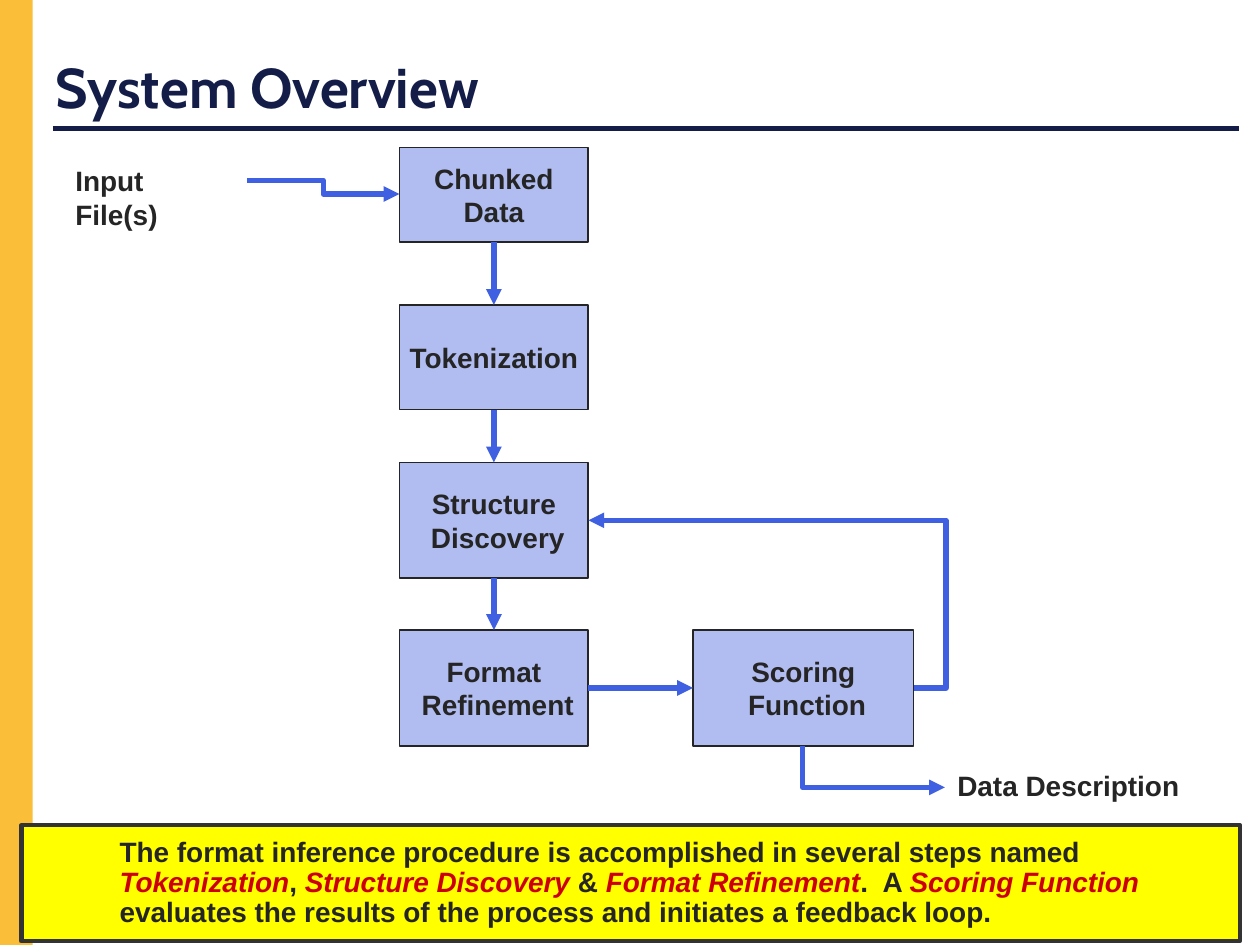
from dataclasses import dataclass

from lxml.etree import SubElement
from pptx import Presentation
from pptx.dml.color import RGBColor
from pptx.enum.shapes import MSO_CONNECTOR as CONN, MSO_SHAPE as SHAPE
from pptx.enum.text import MSO_ANCHOR as ANCHOR, PP_ALIGN as ALIGN
from pptx.oxml.ns import qn
from pptx.util import Inches, Pt


@dataclass(frozen=True)
class Theme:
    navy: str = "131D48"
    gold: str = "FABE38"
    box: str = "B1BDF0"
    ink: str = "252525"
    arrow: str = "3F60E0"
    banner: str = "FFFF00"
    frame: str = "333333"
    accent: str = "CC0000"
    title_font: str = "Cabin"
    body_font: str = "Arial"
    title_size: int = 32
    body_size: int = 16


def rgb(value):
    return RGBColor.from_string(value)


class Deck:
    def __init__(self, theme):
        self.theme = theme
        self.prs = Presentation()
        self.prs.slide_width, self.prs.slide_height = Inches(10), Inches(7.5)
        self.slide = self.prs.slides.add_slide(self.prs.slide_layouts[5])

    def style(self, p, font=None, size=None, color=None):
        t = self.theme
        p.font.name = font or t.body_font
        p.font.size = Pt(size or t.body_size)
        p.font.color.rgb = rgb(color or t.ink)
        p.font.bold = True

    def title(self, text, at):
        t = self.theme
        sp = self.slide.shapes.title
        sp.left, sp.top, sp.width, sp.height = map(Inches, at)
        tf = sp.text_frame
        tf.text = text
        tf.vertical_anchor = ANCHOR.MIDDLE
        p = tf.paragraphs[0]
        p.alignment = ALIGN.LEFT
        self.style(p, t.title_font, t.title_size, t.navy)

    def rect(self, at, fill, line=None, width=1):
        sp = self.slide.shapes.add_shape(SHAPE.RECTANGLE, *map(Inches, at))
        sp.shadow.inherit = False
        sp.fill.solid()
        sp.fill.fore_color.rgb = rgb(fill)
        if line:
            sp.line.color.rgb = rgb(line)
            sp.line.width = Pt(width)
        else:
            sp.line.fill.background()
        return sp

    def box(self, at, *lines):
        sp = self.rect(at, self.theme.box, self.theme.ink)
        tf = sp.text_frame
        tf.word_wrap = False
        tf.vertical_anchor = ANCHOR.MIDDLE
        for i, text in enumerate(lines):
            p = tf.paragraphs[0] if i == 0 else tf.add_paragraph()
            p.text = text
            p.alignment = ALIGN.CENTER
            self.style(p)
        return sp

    def label(self, text, at):
        tf = self.slide.shapes.add_textbox(*map(Inches, at)).text_frame
        tf.word_wrap = False
        tf.text = text
        self.style(tf.paragraphs[0])

    def banner(self, at, parts):
        t = self.theme
        tf = self.rect(at, t.banner, t.frame, 2.5).text_frame
        tf.word_wrap = True
        tf.vertical_anchor = ANCHOR.BOTTOM
        tf.margin_left = tf.margin_right = Inches(0.3)
        tf.margin_top = tf.margin_bottom = Inches(0.1)
        p = tf.paragraphs[0]
        p.alignment = ALIGN.LEFT
        p.line_spacing = 0.9
        p.space_before = Pt(4)
        p._p.get_or_add_pPr().set("marL", str(Inches(0.48)))
        self.style(p)
        for text, is_step in parts:
            r = p.add_run()
            r.text = text
            r.font.color.rgb = rgb(t.accent if is_step else t.ink)
            r.font.italic = is_step

    def line(self, start, end, color=None, arrow=None, bend=None, adj=None):
        kind = CONN.ELBOW if bend else CONN.STRAIGHT
        cx = self.slide.shapes.add_connector(kind, *map(Inches, start + end))
        cx.line.color.rgb = rgb(color or self.theme.arrow)
        cx.line.width = Pt(3)
        spPr = cx._element.spPr
        if arrow:
            SubElement(cx.line._get_or_add_ln(), qn(f"a:{arrow}End"), type="triangle")
        SubElement(spPr, qn("a:effectLst"))
        if bend:
            geom = spPr.find(qn("a:prstGeom"))
            geom.set("prst", bend)
            if adj is not None:
                guides = geom.find(qn("a:avLst"))
                if guides is None:
                    guides = SubElement(geom, qn("a:avLst"))
                SubElement(guides, qn("a:gd"), name="adj1", fmla=f"val {round(adj * 100000)}")
        return cx

    def link(self, a, site_a, b, site_b):
        cx = self.line((0, 0), (1, 1), arrow="tail")
        cx.begin_connect(a, site_a)
        cx.end_connect(b, site_b)


TOP, LEFT, BOTTOM, RIGHT = range(4)
theme = Theme()
deck = Deck(theme)
deck.rect((0, 0, 0.26, 7.5), theme.gold)
deck.line((0.42, 1.02), (9.83, 1.02), theme.navy)
deck.title("System Overview", (0.34, 0.24, 9.54, 0.88))

STEPS = [
    (1.17, 0.75, ("Chunked", "Data")),
    (2.42, 0.83, ("Tokenization",)),
    (3.67, 0.92, ("Structure", " Discovery")),
    (5, 0.92, ("Format", " Refinement")),
]
steps = [deck.box((3.17, y, 1.5, h), *lines) for y, h, lines in STEPS]
scoring = deck.box((5.5, 5, 1.75, 0.92), "Scoring", " Function")
for upper, lower in zip(steps, steps[1:]):
    deck.link(upper, BOTTOM, lower, TOP)
deck.link(steps[-1], RIGHT, scoring, LEFT)

deck.label("Input File(s)", (0.5, 1.25, 1.45, 0.37))
deck.label("Data Description", (7.5, 6.05, 1.96, 0.37))
deck.line((1.96, 1.43), (3.17, 1.54), arrow="tail", bend="bentConnector3", adj=0.5)
deck.line((4.67, 4.13), (7.25, 5.46), arrow="head", bend="bentConnector3", adj=1.1)
deck.line((7.5, 6.25), (6.37, 5.92), arrow="head", bend="bentConnector2")

deck.banner((0.17, 6.55, 9.67, 0.92), [
    ("The format inference procedure is accomplished in several steps named ", False),
    ("Tokenization", True),
    (", ", False),
    ("Structure Discovery", True),
    (" & ", False),
    ("Format Refinement", True),
    (".  A ", False),
    ("Scoring Function", True),
    (" evaluates the results of the process and initiates a feedback loop.", False),
])
deck.prs.save("out.pptx")
